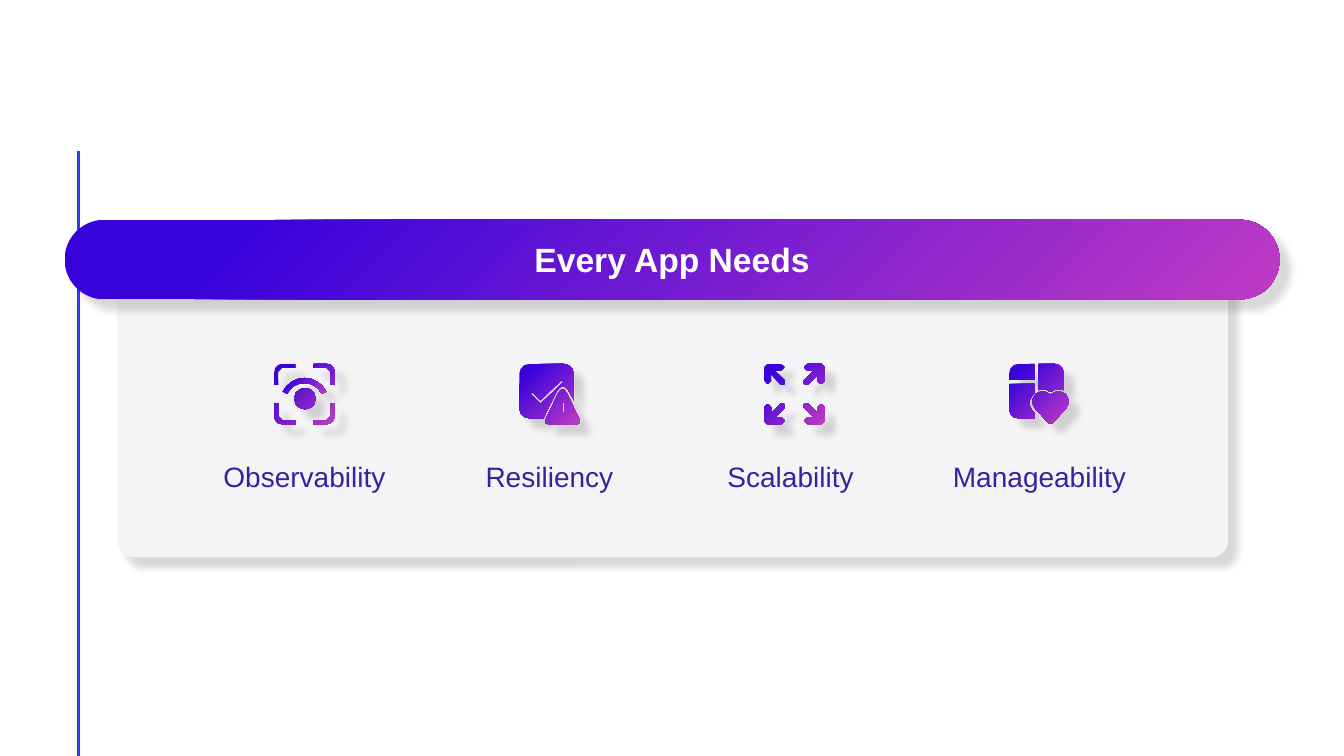
import math
from pptx import Presentation
from pptx import util as u
from pptx.dml.color import RGBColor
from pptx.enum import shapes, text
from pptx.oxml import parse_xml
from pptx.oxml.ns import nsdecls, qn

PX = 9144
ICON = 60
FONT = "Arial"
PURPLE, PINK, LABEL = "3803DB", "C03BC4", "3A20A0"
PANEL, PANEL_SHADOW, DARK_SHADOW = "F4F3F5", "B1B3B3", "454142"
RULE, WHITE = "2C40E8", "FFFFFF"


def px(value):
    return u.Emu(round(value * PX))


def color(code):
    return RGBColor.from_string(code)


def set_shadow(shape, code, opacity):
    shape.shadow.inherit = False
    effects = shape._element.spPr.find(qn("a:effectLst"))
    effects.append(parse_xml(
        f'<a:outerShdw {nsdecls("a")} blurRad="{u.Pt(5)}" dist="{u.Pt(10)}" dir="2700000" '
        f'algn="tl" rotWithShape="0"><a:srgbClr val="{code}">'
        f'<a:alpha val="{opacity * 1000}"/></a:srgbClr></a:outerShdw>'))


def set_glow_fill(shape):
    shape.line.fill.background()
    shape.fill.gradient()
    for stop, (position, code) in zip(shape.fill.gradient_stops, ((0, PINK), (0.85, PURPLE))):
        stop.position = position
        stop.color.rgb = color(code)
    gradient = shape._element.spPr.find(qn("a:gradFill"))
    gradient.replace(gradient.find(qn("a:lin")), parse_xml(
        f'<a:path {nsdecls("a")} path="circle"><a:fillToRect l="100000" t="100000"/></a:path>'))
    set_shadow(shape, DARK_SHADOW, 20)


def write(shape, words, size, code, bold=False):
    frame = shape.text_frame
    frame.word_wrap = True
    frame.text = words
    para = frame.paragraphs[0]
    para.alignment = text.PP_ALIGN.CENTER
    font = para.runs[0].font
    font.name, font.size, font.bold = FONT, u.Pt(size), bold
    font.color.rgb = color(code)


def round_corners(corners):
    points = []
    for index, (x, y, radius) in enumerate(corners):
        if not radius:
            points.append((x, y))
            continue
        ends = []
        for nx, ny, _ in (corners[index - 1], corners[(index + 1) % len(corners)]):
            share = radius / math.hypot(nx - x, ny - y)
            ends.append((x + (nx - x) * share, y + (ny - y) * share))
        steps = max(1, round(radius / 3))
        for step in range(steps + 1):
            t = step / steps
            near = 0.55 * 3 * t * (1 - t)
            first = (1 - t) ** 3 + 3 * t * (1 - t) ** 2 - near * (1 - t)
            last = t ** 3 + 3 * t ** 2 * (1 - t) - near * t
            corner = 1 - first - last
            points.append(tuple(first * a + last * b + corner * c
                                for a, b, c in zip(*ends, (x, y))))
    return points


def block(left, top, width, height, radius):
    right, bottom = left + width, top + height
    return [(left, top, radius), (right, top, radius),
            (right, bottom, radius), (left, bottom, radius)]


def in_four_corners(corners):
    return [[(ICON - x if flip_x else x, ICON - y if flip_y else y, radius)
             for x, y, radius in corners]
            for flip_x in (False, True) for flip_y in (False, True)]


def arch(center_x, center_y, outer, inner, spread):
    angles = [math.radians(a) for a in range(-spread, spread + 1, 16)]
    outside, inside = ([(center_x + r * math.sin(a), center_y - r * math.cos(a), 0)
                        for a in angles] for r in (outer, inner))
    return outside + inside[::-1]


BRACKET = [(0, 0, 8), (21, 0, 0), (21, 4, 0), (4, 4, 4), (4, 21, 0), (0, 21, 0)]
ARROW = [(0, 0, 3), (20, 0, 3), (20, 7, 3), (11, 7, 0), (22, 18, 2),
         (18, 22, 2), (7, 11, 0), (7, 20, 3), (0, 20, 3)]
EYE = [in_four_corners(BRACKET) + [block(20, 24, 21, 21, 10)],
       [arch(30, 38, 24, 19, 64)]]
CHECK_AND_ALERT = [[
    [(0, 0, 10), (54, 0, 10), (54, 36, 0), (43, 15, 14), (24, 54, 0), (0, 54, 10)],
    [(42, 16, 0), (21, 36, 0), (13, 28, 0), (11, 30, 0), (21, 40, 0), (44, 18, 0)],
    [(43, 20, 10), (62, 60, 5), (24, 60, 5)],
    block(43, 38, 2, 10, 0)]]
ARROWS = [in_four_corners(ARROW)]
TILES_AND_HEART = [[
    [(0, 0, 9), (25, 0, 0), (25, 16, 0), (0, 16, 0)],
    [(29, 0, 0), (54, 0, 9), (54, 26, 0), (48, 24, 3), (41, 28, 2), (34, 24, 3), (29, 26, 0)],
    [(0, 20, 0), (25, 20, 0), (25, 29, 0), (17, 39, 8), (25, 49, 0), (25, 54, 0), (0, 54, 9)],
    [(41, 31, 0), (33, 23, 10), (19, 37, 10), (41, 61, 3), (63, 37, 10), (49, 23, 10)]]]
NEEDS = [("Observability", EYE, 200), ("Resiliency", CHECK_AND_ALERT, 200),
         ("Scalability ", ARROWS, 200), ("Manageability", TILES_AND_HEART, 220)]


def add_icon(page, left, top, glyphs):
    for contours in glyphs:
        builder = None
        for corners in contours:
            points = [(px(left + x), px(top + y)) for x, y in round_corners(corners)]
            if builder is None:
                builder = page.shapes.build_freeform(*points[0], scale=1.0)
            else:
                builder.move_to(*points[0])
            builder.add_line_segments(points[1:], close=True)
        set_glow_fill(builder.convert_to_shape())


def add_round_box(page, left, top, width, height, rounding):
    box = page.shapes.add_shape(shapes.MSO_SHAPE.ROUNDED_RECTANGLE,
                                px(left), px(top), px(width), px(height))
    box.adjustments[0] = rounding
    return box


def add_side_rule(page, left, top, bottom):
    rule = page.shapes.add_connector(shapes.MSO_CONNECTOR.STRAIGHT,
                                     px(left), px(top), px(left), px(bottom))
    rule.line.color.rgb = color(RULE)
    rule.line.width = u.Pt(2)
    rule._element.spPr.append(parse_xml(f'<a:effectLst {nsdecls("a")}/>'))


def add_needs_panel(page, left, top, width, height):
    panel = add_round_box(page, left, top, width, height, 0.058)
    panel.fill.solid()
    panel.fill.fore_color.rgb = color(PANEL)
    panel.line.fill.background()
    set_shadow(panel, PANEL_SHADOW, 50)
    for index, (name, glyphs, label_width) in enumerate(NEEDS):
        center = left + 186 + 243 * index
        add_icon(page, center - ICON // 2, top + 101, glyphs)
        label = page.shapes.add_textbox(px(center - label_width // 2), px(top + 191),
                                        px(label_width), px(44))
        write(label, name, 20, LABEL)


def add_banner(page, left, top, width, height):
    banner = add_round_box(page, left, top, width, height, 0.5)
    set_glow_fill(banner)
    write(banner, "Every App Needs", 24, WHITE, bold=True)
    frame = banner.text_frame
    frame.margin_left = frame.margin_right = frame.margin_top = frame.margin_bottom = 0
    frame.vertical_anchor = text.MSO_ANCHOR.MIDDLE


def main():
    deck = Presentation()
    deck.slide_width, deck.slide_height = px(1333), px(750)
    page = deck.slides.add_slide(deck.slide_layouts[6])
    add_side_rule(page, 78, 150, 750)
    add_needs_panel(page, 116, 260, 1102, 293)
    add_banner(page, 64, 218, 1205, 79)
    deck.save("out.pptx")


if __name__ == "__main__":
    main()
